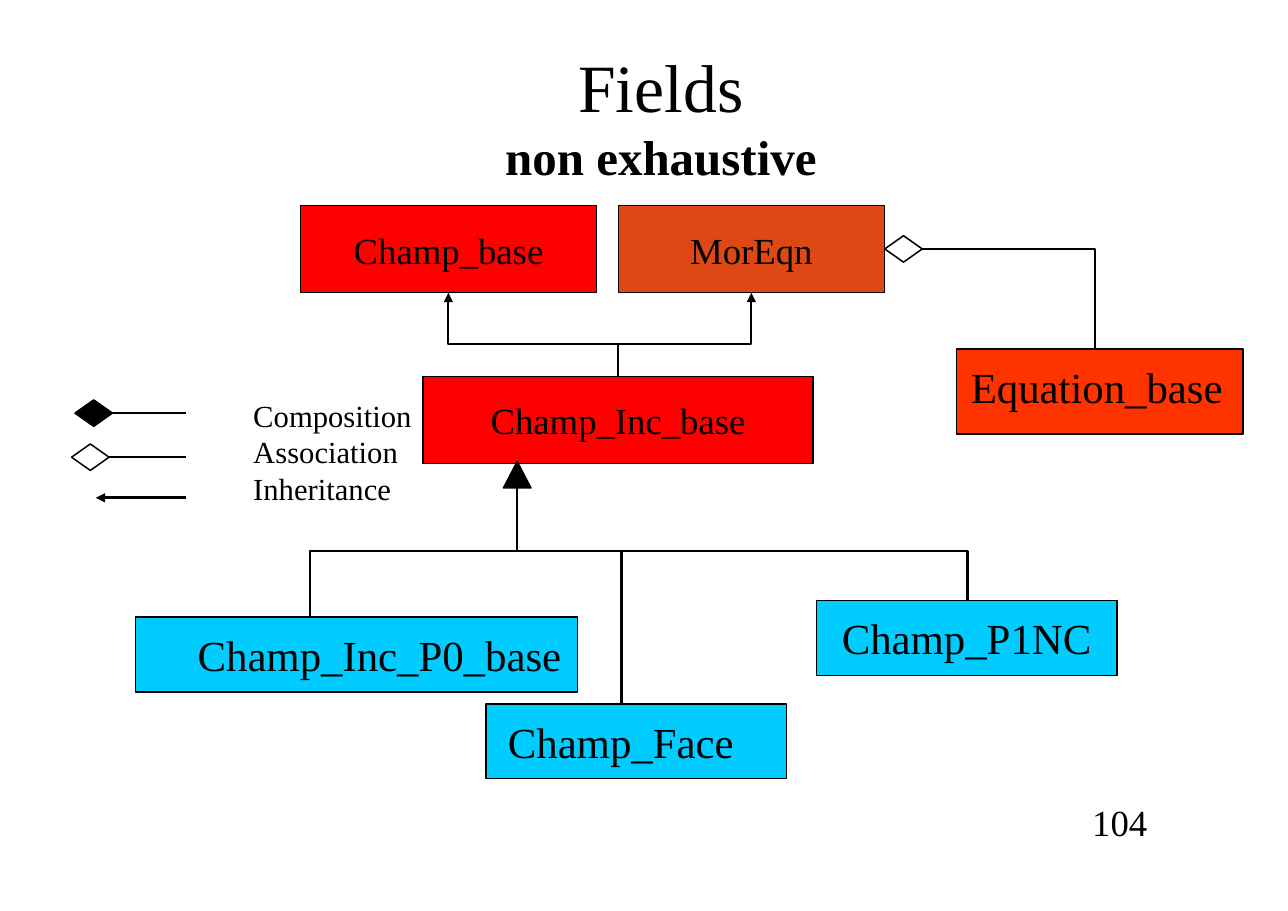
"""Build the class diagram slide about fields."""
from dataclasses import dataclass
from typing import Optional

from lxml import etree
from pptx import Presentation
from pptx.dml.color import RGBColor
from pptx.enum.shapes import MSO_CONNECTOR, MSO_SHAPE
from pptx.enum.text import MSO_ANCHOR, PP_ALIGN
from pptx.oxml.ns import qn
from pptx.util import Pt

RECTANGLE, DIAMOND = MSO_SHAPE.RECTANGLE, MSO_SHAPE.DIAMOND
TRIANGLE = MSO_SHAPE.ISOSCELES_TRIANGLE
STRAIGHT, ELBOW = MSO_CONNECTOR.STRAIGHT, MSO_CONNECTOR.ELBOW
LEFT, CENTER, RIGHT = PP_ALIGN.LEFT, PP_ALIGN.CENTER, PP_ALIGN.RIGHT
TOP, MIDDLE = MSO_ANCHOR.TOP, MSO_ANCHOR.MIDDLE
FONT = "Times New Roman"
BLACK, WHITE, RED, BLUE = "000000", "FFFFFF", "FF0000", "00CCFF"
LINE_WIDTH = 1.45


@dataclass
class ClassBox:
    """A class rectangle; an indent means a large left-aligned name."""
    name: str
    left: float
    top: float
    width: float
    height: float
    fill: str
    indent: Optional[float] = None


@dataclass
class Marker:
    """A diamond or triangle that ends a relation."""
    kind: int
    left: float
    top: float
    width: float
    fill: str


@dataclass
class Relation:
    """A line that rises from one point, bends, and reaches another."""
    start: tuple[float, float]
    end: tuple[float, float]
    bend: Optional[float] = None
    arrow: bool = False


@dataclass
class LegendLine:
    """A horizontal sample line of the legend."""
    start: float
    end: float
    y: float
    width: float = 1
    arrow: bool = False


BOXES = [
    ClassBox("Champ_base", 196.6, 134.6, 193, 56.9, RED),
    ClassBox("MorEqn", 403.9, 134.6, 174.2, 56.9, "DD4814"),
    ClassBox("Champ_Inc_base", 276.5, 246.2, 254.9, 56.9, RED),
    ClassBox("Equation_base", 625, 228.2, 187.2, 55.4, "FF3300", 9.4),
    ClassBox("Champ_Inc_P0_base", 88.6, 403.2, 288.7, 49, BLUE, 40.5),
    ClassBox("Champ_Face", 317.5, 460, 196.6, 49, BLUE, 14.4),
    ClassBox("Champ_P1NC", 533.5, 392.4, 196.6, 49, BLUE, 16.6),
]
MARKERS = [
    Marker(DIAMOND, 49, 261.4, 24.5, BLACK),
    Marker(DIAMOND, 46.8, 290.2, 24.5, WHITE),
    Marker(DIAMOND, 578.2, 154.1, 24.5, WHITE),
    Marker(TRIANGLE, 329, 301.7, 18, BLACK),
]
INC_BASE_TOP, TRIANGLE_BASE = (404, 246.2), (338, 319)
RELATIONS = [
    Relation(INC_BASE_TOP, (293, 191.5), 225, True),
    Relation(INC_BASE_TOP, (491, 191.5), 225, True),
    Relation((202.3, 403.2), TRIANGLE_BASE, 360),
    Relation((406.1, 460), TRIANGLE_BASE, 360),
    Relation((632.2, 392.4), TRIANGLE_BASE, 360),
    Relation((715.7, 228.2), (602.7, 162.7)),
]
LEGEND_LINES = [
    LegendLine(73.5, 121.4, 270),
    LegendLine(71.3, 121.4, 298.8),
    LegendLine(121.4, 62.6, 325.4, 0, True),
]


def color(value: str) -> RGBColor:
    """Turn a hex string into a colour."""
    return RGBColor.from_string(value)


def add_span(para, text: str, size: float, bold: bool = False) -> None:
    """Add one formatted run to a paragraph."""
    span = para.add_run()
    span.text = text
    span.font.name, span.font.size, span.font.bold = FONT, Pt(size), bold
    span.font.color.rgb = color(BLACK)


def paint(shape, fill: str, width: float) -> None:
    """Give a shape its fill and black outline."""
    shape.shadow.inherit = False
    shape.fill.solid()
    shape.fill.fore_color.rgb = color(fill)
    shape.line.color.rgb = color(BLACK)
    shape.line.width = Pt(width)


def add_box(page, item: ClassBox) -> None:
    """Draw a class rectangle with its name."""
    box = page.shapes.add_shape(RECTANGLE, Pt(item.left), Pt(item.top),
                                Pt(item.width), Pt(item.height))
    centred = item.indent is None
    paint(box, item.fill, 0 if centred else 1)
    frame = box.text_frame
    frame.word_wrap = True
    frame.vertical_anchor = MIDDLE if centred else TOP
    if not centred:
        frame.margin_left, frame.margin_right = Pt(item.indent), Pt(0)
        frame.margin_top = Pt(7.5)
    para = frame.paragraphs[0]
    para.alignment = CENTER if centred else LEFT
    add_span(para, item.name, 24 if centred else 28)


def add_marker(page, item: Marker) -> None:
    """Draw a relation end."""
    marker = page.shapes.add_shape(item.kind, Pt(item.left), Pt(item.top),
                                   Pt(item.width), Pt(17.3))
    paint(marker, item.fill, 1)


def add_line(page, kind: int, ends: list[float], width: float, arrow: bool):
    """Draw a black connector and return it."""
    line = page.shapes.add_connector(kind, *[Pt(value) for value in ends])
    line.line.color.rgb = color(BLACK)
    line.line.width = Pt(width)
    properties = line._element.spPr
    if arrow:
        etree.SubElement(properties.find(qn("a:ln")), qn("a:tailEnd"), type="triangle")
    etree.SubElement(properties, qn("a:effectLst"))
    return line


def add_relation(page, item: Relation) -> None:
    """Draw an elbow that leaves its start upwards."""
    (x1, y1), (x2, y2) = item.start, item.end
    rise, run = y1 - y2, abs(x2 - x1)
    x, y = (x1 + x2) / 2, (y1 + y2) / 2
    ends = [x - rise / 2, y - run / 2, x + rise / 2, y + run / 2]
    line = add_line(page, ELBOW, ends, LINE_WIDTH, item.arrow)
    frame = line._element.spPr.find(qn("a:xfrm"))
    frame.set("flipV", "1")
    if x2 > x1:
        frame.set("flipH", "1")
    frame.set("rot", "5400000" if x2 > x1 else "16200000")
    geometry = line._element.spPr.find(qn("a:prstGeom"))
    if item.bend is None:
        geometry.set("prst", "bentConnector2")
    else:
        share = round((y1 - item.bend) / rise * 100000)
        etree.SubElement(geometry.find(qn("a:avLst")), qn("a:gd"),
                         name="adj1", fmla=f"val {share}")


def add_text(page, place: list[float], lines: list[str], size: float, align: int) -> None:
    """Add a text box with one paragraph per line."""
    frame = page.shapes.add_textbox(*[Pt(value) for value in place]).text_frame
    frame.word_wrap = True
    for index, text in enumerate(lines):
        para = frame.add_paragraph() if index else frame.paragraphs[0]
        para.alignment = align
        add_span(para, text, size)


def add_title(page) -> None:
    """Place and fill the title placeholder."""
    title = page.shapes.title
    title.left, title.top, title.width, title.height = Pt(108), Pt(25.9), Pt(648), Pt(98.6)
    title.text_frame.vertical_anchor = MIDDLE
    para = title.text_frame.paragraphs[0]
    para.alignment = CENTER
    add_span(para, "Fields", 44.2)
    para.add_line_break()
    add_span(para, "non exhaustive", 32, True)


def main() -> None:
    """Build and save the deck."""
    deck = Presentation()
    deck.slide_width, deck.slide_height = Pt(841.68), Pt(595.44)
    page = deck.slides.add_slide(deck.slide_layouts[5])
    add_title(page)
    for box in BOXES:
        add_box(page, box)
    for relation in RELATIONS:
        add_relation(page, relation)
    for item in LEGEND_LINES:
        add_line(page, STRAIGHT, [item.start, item.y, item.end, item.y], item.width, item.arrow)
    for marker in MARKERS:
        add_marker(page, marker)
    add_text(page, [158.4, 255.6, 118, 79.2],
             ["Composition", "Association", "Inheritance"], 20, LEFT)
    add_text(page, [697, 519.1, 59.8, 36], ["104"], 24, RIGHT)
    deck.save("out.pptx")


if __name__ == "__main__":
    main()
